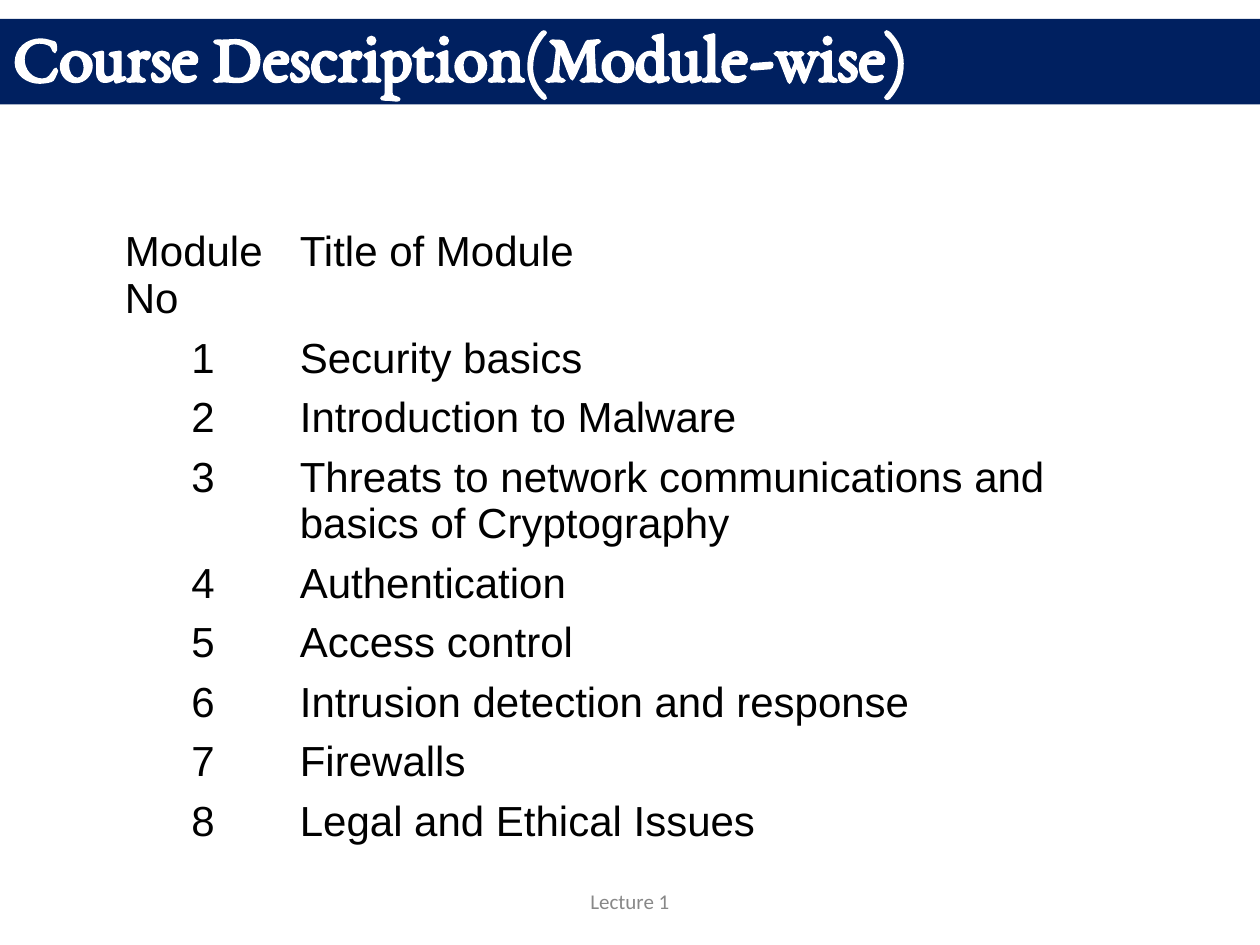
from pptx import Presentation
from pptx.dml.color import RGBColor
from pptx.enum.text import MSO_ANCHOR, MSO_AUTO_SIZE, PP_ALIGN
from pptx.oxml.ns import qn
from pptx.util import Pt

NAVY = RGBColor(0x00, 0x20, 0x60)
WHITE = RGBColor(0xFF, 0xFF, 0xFF)
BLACK = RGBColor(0x00, 0x00, 0x00)
GREY = RGBColor(0x88, 0x88, 0x88)
PLAIN = "{2D5ABB26-0587-4C30-8999-92F81FD0307C}"

TOPICS = [
    "Security basics",
    "Introduction to Malware",
    "Threats to network communications and basics of Cryptography",
    "Authentication",
    "Access control",
    "Intrusion detection and response",
    "Firewalls",
    "Legal and Ethical Issues",
]


def style(frame, name, size, color, align, bold=False):
    line = frame.paragraphs[0]
    line.alignment = align
    font = line.runs[0].font
    font.name = name
    font.size = Pt(size)
    font.bold = bold
    font.color.rgb = color


def add_title(slide, left, top, width, height):
    title = slide.shapes.title
    title.left, title.top = Pt(left), Pt(top)
    title.width, title.height = Pt(width), Pt(height)
    title.fill.solid()
    title.fill.fore_color.rgb = NAVY
    frame = title.text_frame
    frame.text = "Course Description(Module-wise)"
    frame.word_wrap = True
    frame.auto_size = MSO_AUTO_SIZE.NONE
    frame.vertical_anchor = MSO_ANCHOR.MIDDLE
    frame.paragraphs[0].line_spacing = 0.8
    style(frame, "EB Garamond", 39.6, WHITE, PP_ALIGN.LEFT, True)


def add_modules(slide, left, top, width, height):
    rows = [("Module No", "Title of Module")]
    rows += [(str(num), topic) for num, topic in enumerate(TOPICS, 1)]
    table = slide.shapes.add_table(
        len(rows), 2, Pt(left), Pt(top), Pt(width), Pt(height)).table
    table._tbl.tblPr.find(qn("a:tableStyleId")).text = PLAIN
    table.first_row = table.horz_banding = False
    table.columns[0].width = Pt(100)
    table.columns[1].width = Pt(width - 100)
    for r, row in enumerate(rows):
        table.rows[r].height = Pt(29.5)
        for c, text in enumerate(row):
            cell = table.cell(r, c)
            cell.fill.background()
            cell.margin_left = cell.margin_right = Pt(5.4)
            cell.margin_top = cell.margin_bottom = Pt(3.6)
            cell.text_frame.text = text
            align = PP_ALIGN.CENTER if r and not c else PP_ALIGN.LEFT
            style(cell.text_frame, "Arial", 24, BLACK, align)


def add_footer(slide, left, top, width, height):
    box = slide.shapes.add_textbox(Pt(left), Pt(top), Pt(width), Pt(height))
    frame = box.text_frame
    frame.text = "Lecture 1"
    frame.word_wrap = True
    frame.vertical_anchor = MSO_ANCHOR.MIDDLE
    style(frame, "Calibri", 12, GREY, PP_ALIGN.CENTER)


def main():
    deck = Presentation()
    deck.slide_width, deck.slide_height = Pt(720), Pt(540)
    slide = deck.slides.add_slide(deck.slide_layouts[5])
    add_modules(slide, 66, 127.2, 584, 381.6)
    add_title(slide, 0, 10.8, 720, 48.8)
    add_footer(slide, 246, 500.5, 228, 28.8)
    deck.save("out.pptx")


if __name__ == "__main__":
    main()
